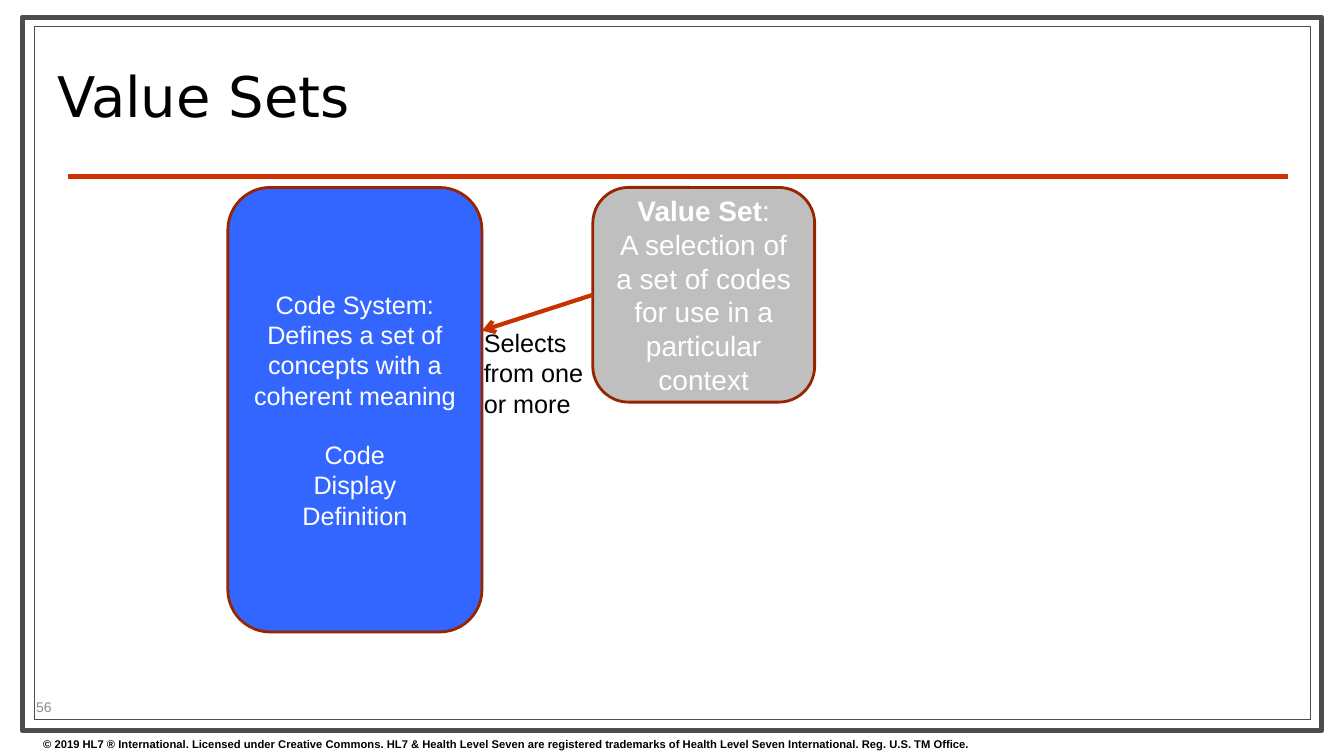
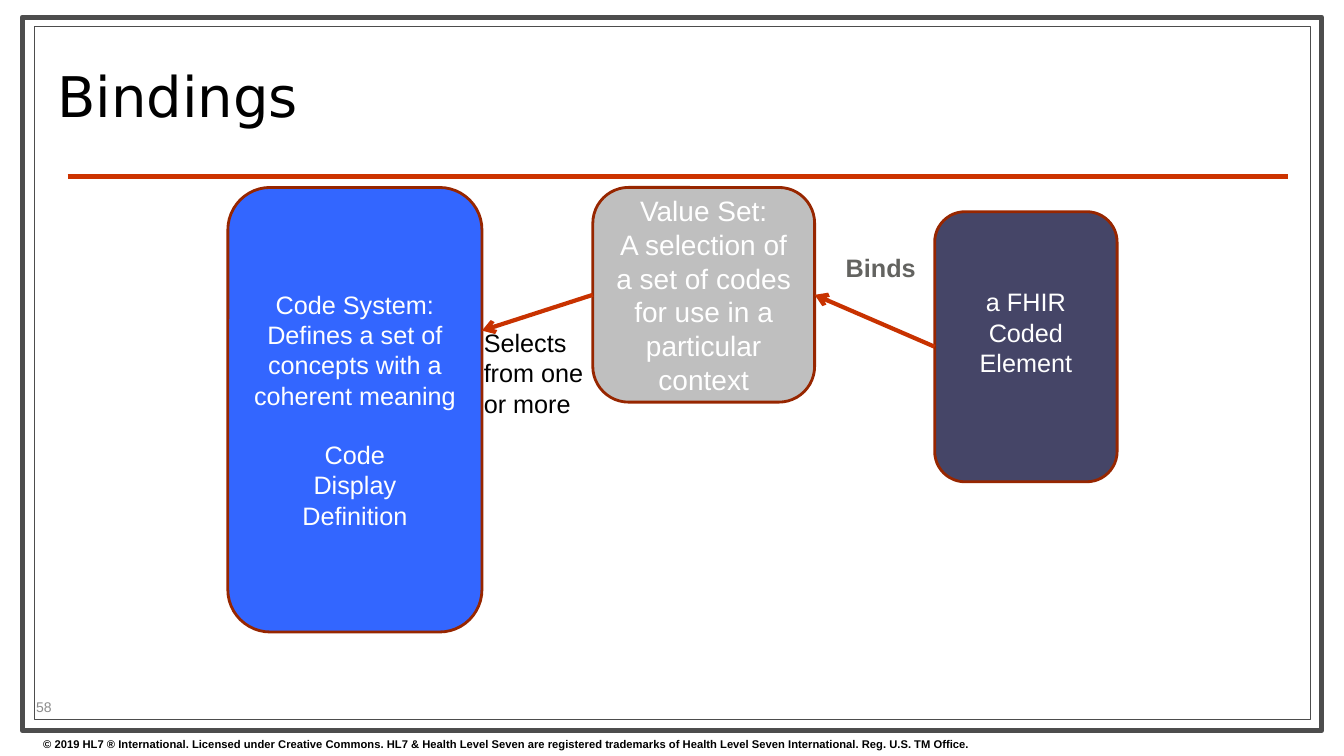
"""Build two slides on code systems, value sets and bindings."""
import pptx
import pptx.util
import pptx.dml.color
import pptx.enum.shapes
import pptx.enum.text
import lxml.etree

Inches, Pt = pptx.util.Inches, pptx.util.Pt
RGB = pptx.dml.color.RGBColor
SHAPE = pptx.enum.shapes.MSO_SHAPE
STRAIGHT = pptx.enum.shapes.MSO_CONNECTOR.STRAIGHT
ALIGN = pptx.enum.text.PP_ALIGN
ANCHOR = pptx.enum.text.MSO_ANCHOR

BLACK = RGB(0x00, 0x00, 0x00)
WHITE = RGB(0xFF, 0xFF, 0xFF)
FRAME = RGB(0x4D, 0x4D, 0x4D)
RULE = RGB(0xCC, 0x33, 0x00)
EDGE = RGB(0x97, 0x26, 0x00)
ARROW = RGB(0xC8, 0x32, 0x00)
BLUE = RGB(0x33, 0x66, 0xFF)
SILVER = RGB(0xBF, 0xBF, 0xBF)
NAVY = RGB(0x45, 0x45, 0x67)
STONE = RGB(0x63, 0x63, 0x60)
MUTED = RGB(0x8C, 0x8C, 0x8C)

FOOTER = ("© 2019 HL7 ® International. Licensed under Creative Commons. "
          "HL7 & Health Level Seven are registered trademarks of "
          "Health Level Seven International. Reg. U.S. TM Office.")
SYSTEM = ["Code System:", "Defines a set of concepts with a coherent meaning",
          "Code", "Display", "Definition"]
VALUE = ["Value Set:",
         "A selection of a set of codes for use in a particular context"]
ELEMENT = ["a FHIR Coded Element"]
SLIDES = [
    {"title": "Value Sets", "number": "56", "strong": "Value Set", "binds": False},
    {"title": "Bindings", "number": "58", "strong": "", "binds": True},
]


def write(frame, lines, size, color, font="Arial", bold=False, align=ALIGN.LEFT,
          strong=""):
    """Fill a text frame, one paragraph a line, and return the paragraphs."""
    for i, line in enumerate(lines):
        para = frame.paragraphs[0] if i == 0 else frame.add_paragraph()
        para.alignment = align
        para.font.name = font
        para.font.size = Pt(size)
        para.font.color.rgb = color
        if strong and line.startswith(strong):
            run = para.add_run()
            run.text = strong
            run.font.bold = True
            para.add_run().text = line[len(strong):]
        else:
            para.font.bold = bold
            para.add_run().text = line
    return frame.paragraphs


def label(slide, box, text, size, color, anchor=ANCHOR.TOP, wrap=True, **style):
    """Add a text box and return its paragraph."""
    frame = slide.shapes.add_textbox(*map(Inches, box)).text_frame
    frame.word_wrap = wrap
    frame.vertical_anchor = anchor
    return write(frame, [text], size, color, **style)[0]


def block(slide, kind, box, fill, edge, width):
    """Add a filled, outlined shape without shadow."""
    shape = slide.shapes.add_shape(kind, *map(Inches, box))
    shape.shadow.inherit = False
    shape.fill.solid()
    shape.fill.fore_color.rgb = fill
    shape.line.color.rgb = edge
    shape.line.width = Pt(width)
    return shape


def card(slide, box, fill, lines, size, strong=""):
    """Add a rounded card with centred white text."""
    shape = block(slide, SHAPE.ROUNDED_RECTANGLE, box, fill, EDGE, 2)
    frame = shape.text_frame
    frame.word_wrap = True
    frame.vertical_anchor = ANCHOR.MIDDLE
    write(frame, lines, size, WHITE, align=ALIGN.CENTER, strong=strong)
    return shape


def line(slide, start, end, color):
    """Add a straight line without shadow."""
    link = slide.shapes.add_connector(STRAIGHT, *map(Inches, start + end))
    link.line.color.rgb = color
    link.line.width = Pt(3)
    props = link._element.spPr
    lxml.etree.SubElement(props, pptx.oxml.ns.qn("a:effectLst"))
    return link


def arrow(slide, start, end):
    """Add a line with an open arrowhead at its end."""
    link = line(slide, start, end, ARROW)
    stroke = link.line._get_or_add_ln()
    lxml.etree.SubElement(stroke, pptx.oxml.ns.qn("a:tailEnd"), type="arrow")
    return link


def base(slide, title, number):
    """Draw the frame, rule, title, footer and page number."""
    block(slide, SHAPE.RECTANGLE, (0.22, 0.17, 12.89, 7.08), WHITE, FRAME, 3.5)
    block(slide, SHAPE.RECTANGLE, (0.34, 0.26, 12.66, 6.88), WHITE, FRAME, 0.75)
    line(slide, (0.67, 1.75), (12.77, 1.75), RULE)
    label(slide, (0.33, 7.27, 13, 0.23), FOOTER, 8, BLACK, bold=True)
    head = label(slide, (0.47, 0.36, 9.55, 1.29), title, 40, BLACK,
                 ANCHOR.MIDDLE, font="DejaVu Sans")
    head.line_spacing = 0.8
    label(slide, (0.26, 6.89, 1.05, 0.24), number, 10, MUTED, ANCHOR.MIDDLE)


def diagram(slide, strong, binds):
    """Draw the cards and the arrows between them."""
    system = card(slide, (2.26, 1.86, 2.52, 4.41), BLUE, SYSTEM, 18)
    system.text_frame.paragraphs[SYSTEM.index("Code")].space_before = Pt(21)
    value = card(slide, (5.88, 1.86, 2.2, 2.13), SILVER, VALUE, 20, strong)
    arrow(slide, (5.88, 2.92), (4.78, 3.28)).begin_connect(value, 1)
    label(slide, (4.7, 3.2, 1.47, 1.05), "Selects from one or more", 18, BLACK)
    if binds:
        element = card(slide, (9.27, 2.1, 1.81, 2.68), NAVY, ELEMENT, 18)
        element.text_frame.margin_bottom = Inches(0.34)
        link = arrow(slide, (9.27, 3.44), (8.08, 2.92))
        link.begin_connect(element, 1)
        link.end_connect(value, 3)
        label(slide, (8.29, 2.45, 0.9, 0.4), "Binds", 18, STONE, wrap=False,
              bold=True)


def main():
    """Build and save the deck."""
    deck = pptx.Presentation()
    deck.slide_width, deck.slide_height = Inches(13.33), Inches(7.5)
    for item in SLIDES:
        slide = deck.slides.add_slide(deck.slide_layouts[6])
        base(slide, item["title"], item["number"])
        diagram(slide, item["strong"], item["binds"])
    deck.save("out.pptx")


if __name__ == "__main__":
    main()
